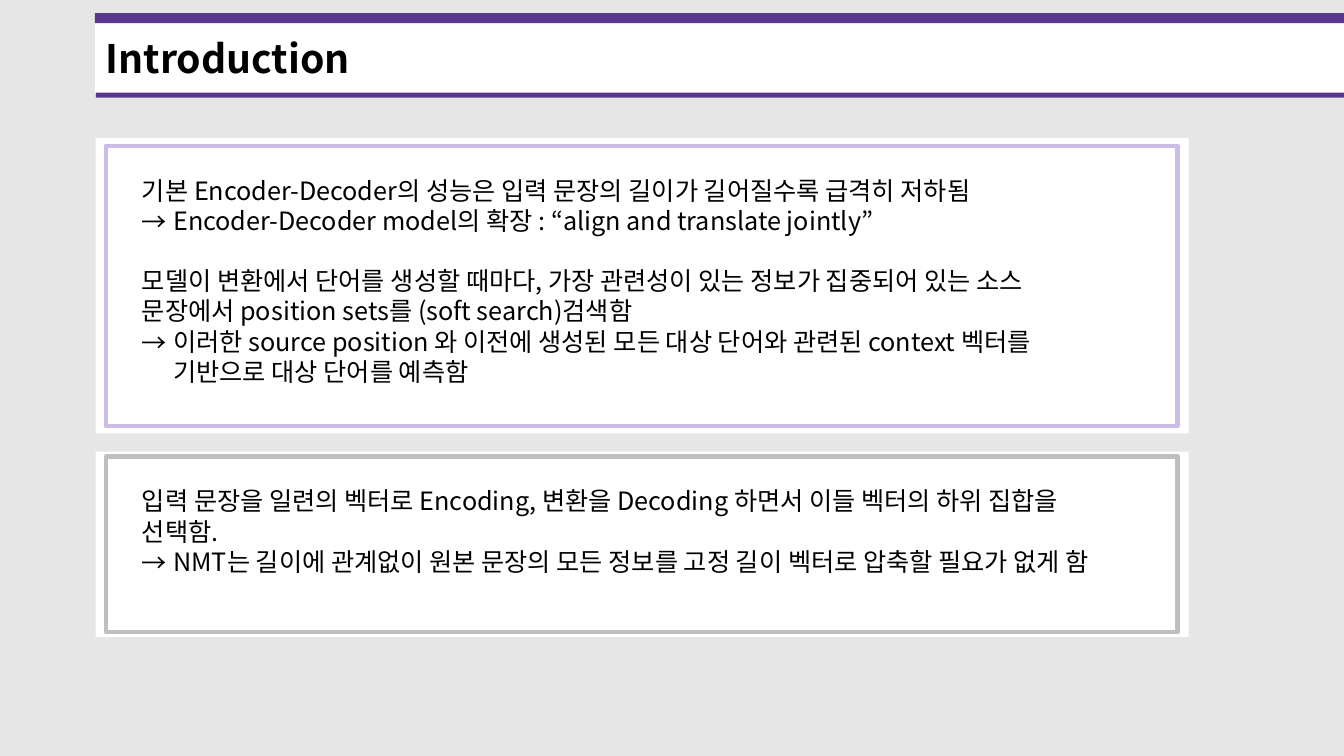
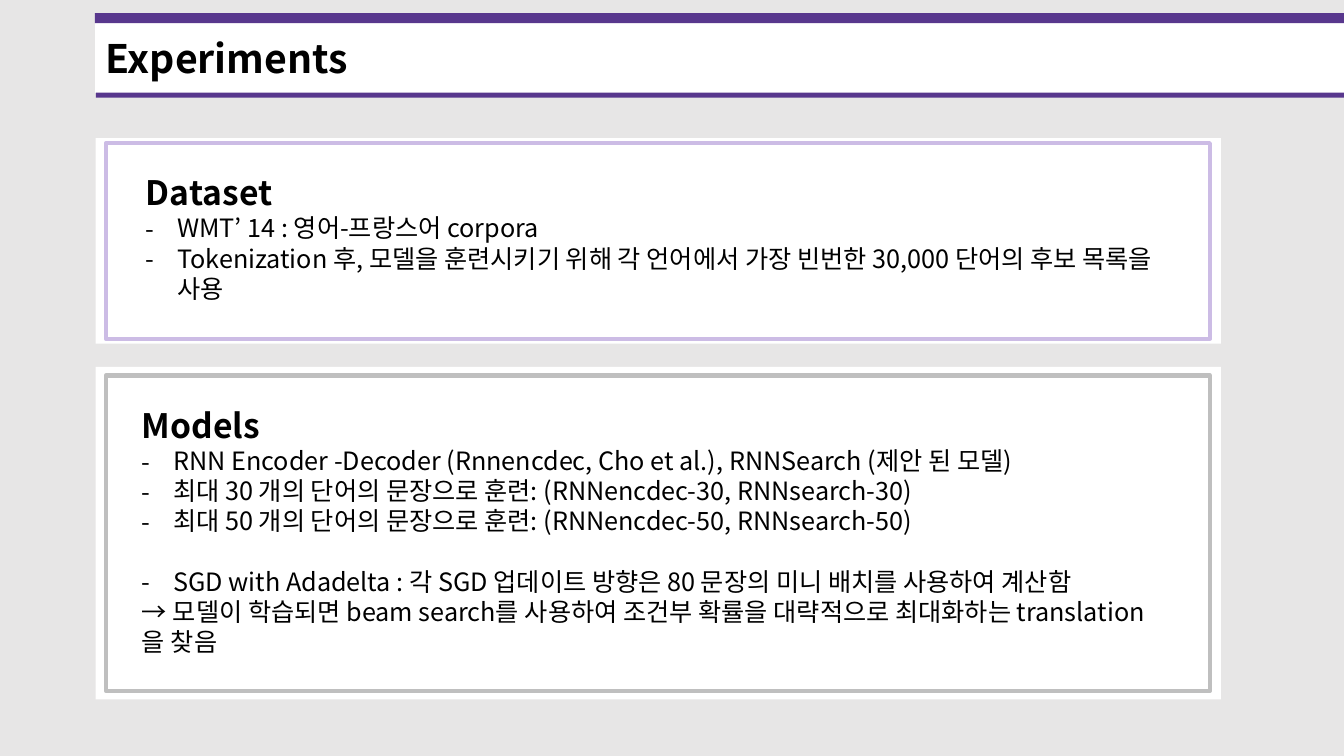
from pptx import Presentation
from pptx import util as u
from pptx.dml.color import RGBColor
from pptx.enum import shapes, text
from pptx.oxml.ns import qn
from lxml import etree

# Grid: square cells, 75 rows to the slide's height
ROWS = 75
WIDTH, HEIGHT = u.Inches(13.33), u.Inches(7.5)
CELL = HEIGHT / ROWS
COLUMNS = WIDTH / CELL
LEFT = 9.5

FONT = "Noto Sans CJK KR"
BACKGROUND, WHITE, BLACK = "E7E6E6", "FFFFFF", "000000"
PURPLE, LILAC, GRAY = "58378D", "CCBCE5", "BFBFBF"
TITLE_SIZE, HEADING_SIZE, BODY_SIZE = 28, 24, 18
HANG = u.Inches(0.31)
BLANK_LINE = 21.6


def color(value):
    return RGBColor.from_string(value)


def cells(*counts):
    return [u.Emu(round(count * CELL)) for count in counts]


class Deck:
    """Holds the shared style and the current slide."""

    def __init__(self):
        self.presentation = Presentation()
        self.presentation.slide_width = WIDTH
        self.presentation.slide_height = HEIGHT
        self.slide = None

    def start_slide(self, title):
        layout = self.presentation.slide_layouts[6]
        self.slide = self.presentation.slides.add_slide(layout)
        fill = self.slide.background.fill
        fill.solid()
        fill.fore_color.rgb = color(BACKGROUND)
        # Title band between two purple bars
        band_width = COLUMNS - LEFT
        self.box(LEFT, 2.1, band_width, 7.1, WHITE, WHITE, 1)
        self.text_box(LEFT, 2.9, 105.4, 5.7, [("title", title)])
        self.box(LEFT - 0.1, 1.3, band_width + 0.1, 1, PURPLE)
        self.box(LEFT, 9.2, band_width, 0.5, PURPLE)

    def box(self, left, top, width, height, fill, line=None, weight=0):
        shape = self.slide.shapes.add_shape(
            shapes.MSO_SHAPE.RECTANGLE, *cells(left, top, width, height))
        shape.shadow.inherit = False
        shape.fill.solid()
        shape.fill.fore_color.rgb = color(fill)
        if line:
            shape.line.color.rgb = color(line)
            shape.line.width = u.Pt(weight)
        else:
            shape.line.fill.background()

    def text_box(self, left, top, width, height, items):
        """Items are (kind, text) pairs; kind is title, heading, body, gap or a bullet sign."""
        frame = self.slide.shapes.add_textbox(*cells(left, top, width, height)).text_frame
        frame.word_wrap = True
        frame.vertical_anchor = text.MSO_ANCHOR.TOP
        paragraph, gap = frame.paragraphs[0], False
        for index, (kind, words) in enumerate(items):
            if kind == "gap":
                gap = True
                continue
            if index:
                paragraph = frame.add_paragraph()
            paragraph.text = words
            if gap:
                paragraph.space_before = u.Pt(BLANK_LINE)
                gap = False
            if kind in "→-":
                self.bullet(paragraph, kind)
            self.style(paragraph, kind)

    def style(self, paragraph, kind):
        sizes = {"title": TITLE_SIZE, "heading": HEADING_SIZE}
        for run in paragraph.runs:
            run.font.name = FONT
            run.font.size = u.Pt(sizes.get(kind, BODY_SIZE))
            run.font.bold = kind in sizes
            run.font.color.rgb = color(BLACK)
            east_asian = etree.SubElement(run.font._element, qn("a:ea"))
            east_asian.set("typeface", FONT)

    def bullet(self, paragraph, sign):
        properties = paragraph._p.get_or_add_pPr()
        properties.set("marL", str(HANG))
        properties.set("indent", str(-HANG))
        etree.SubElement(properties, qn("a:buFont")).set("typeface", FONT)
        etree.SubElement(properties, qn("a:buChar")).set("char", sign)

    def panel(self, top, width, height, inset, line, text_width, items, indent=3.6):
        """White card with an inner coloured frame and its text."""
        self.box(LEFT, top, width, height, WHITE)
        self.box(LEFT + 1, top + inset, width - 2.1, height - 2 * inset, WHITE, line, 3)
        text_top = top + inset + 2.4
        self.text_box(LEFT + indent, text_top, text_width,
                      height - inset - 4.8, items)


def main():
    deck = Deck()

    # Introduction
    deck.start_slide("Introduction")
    deck.panel(13.7, 108.4, 29.3, 0.75, LILAC, 98.2, [
        ("body", "기본 Encoder-Decoder의 성능은 입력 문장의 길이가 길어질수록 급격히 저하됨"),
        ("→", "Encoder-Decoder model의 확장 : “align and translate jointly”"),
        ("gap", ""),
        ("body", "모델이 변환에서 단어를 생성할 때마다, 가장 관련성이 있는 정보가 집중되어 있는 "
                 "소스 문장에서 position sets를 (soft search)검색함"),
        ("→", "이러한 source position 와 이전에 생성된 모든 대상 단어와 관련된 context 벡터를 "
              "기반으로 대상 단어를 예측함"),
    ])
    deck.panel(44.8, 108.4, 18.4, 0.5, GRAY, 99.1, [
        ("body", "입력 문장을 일련의 벡터로 Encoding, 변환을 Decoding 하면서 이들 벡터의 "
                 "하위 집합을 선택함."),
        ("→", "NMT는 길이에 관계없이 원본 문장의 모든 정보를 고정 길이 벡터로 압축할 필요가 없게 함"),
    ])

    # Experiments
    deck.start_slide("Experiments")
    deck.panel(13.7, 111.6, 20.4, 0.5, LILAC, 103.3, [
        ("heading", "Dataset"),
        ("-", "WMT’ 14 : 영어-프랑스어 corpora"),
        ("-", "Tokenization 후, 모델을 훈련시키기 위해 각 언어에서 가장 빈번한 30,000 단어의 "
              "후보 목록을 사용"),
    ], indent=4)
    deck.panel(36.4, 111.6, 33, 0.85, GRAY, 104.2, [
        ("heading", "Models"),
        ("-", "RNN Encoder -Decoder (Rnnencdec, Cho et al.), RNNSearch (제안 된 모델)"),
        ("-", "최대 30 개의 단어의 문장으로 훈련: (RNNencdec-30, RNNsearch-30)"),
        ("-", "최대 50 개의 단어의 문장으로 훈련: (RNNencdec-50, RNNsearch-50)"),
        ("gap", ""),
        ("-", "SGD with Adadelta : 각 SGD 업데이트 방향은 80 문장의 미니 배치를 사용하여 계산함"),
        ("body", "→ 모델이 학습되면 beam search를 사용하여 조건부 확률을 대략적으로 최대화하는 "
                 "translation 을 찾음"),
    ])

    deck.presentation.save("out.pptx")


if __name__ == "__main__":
    main()
